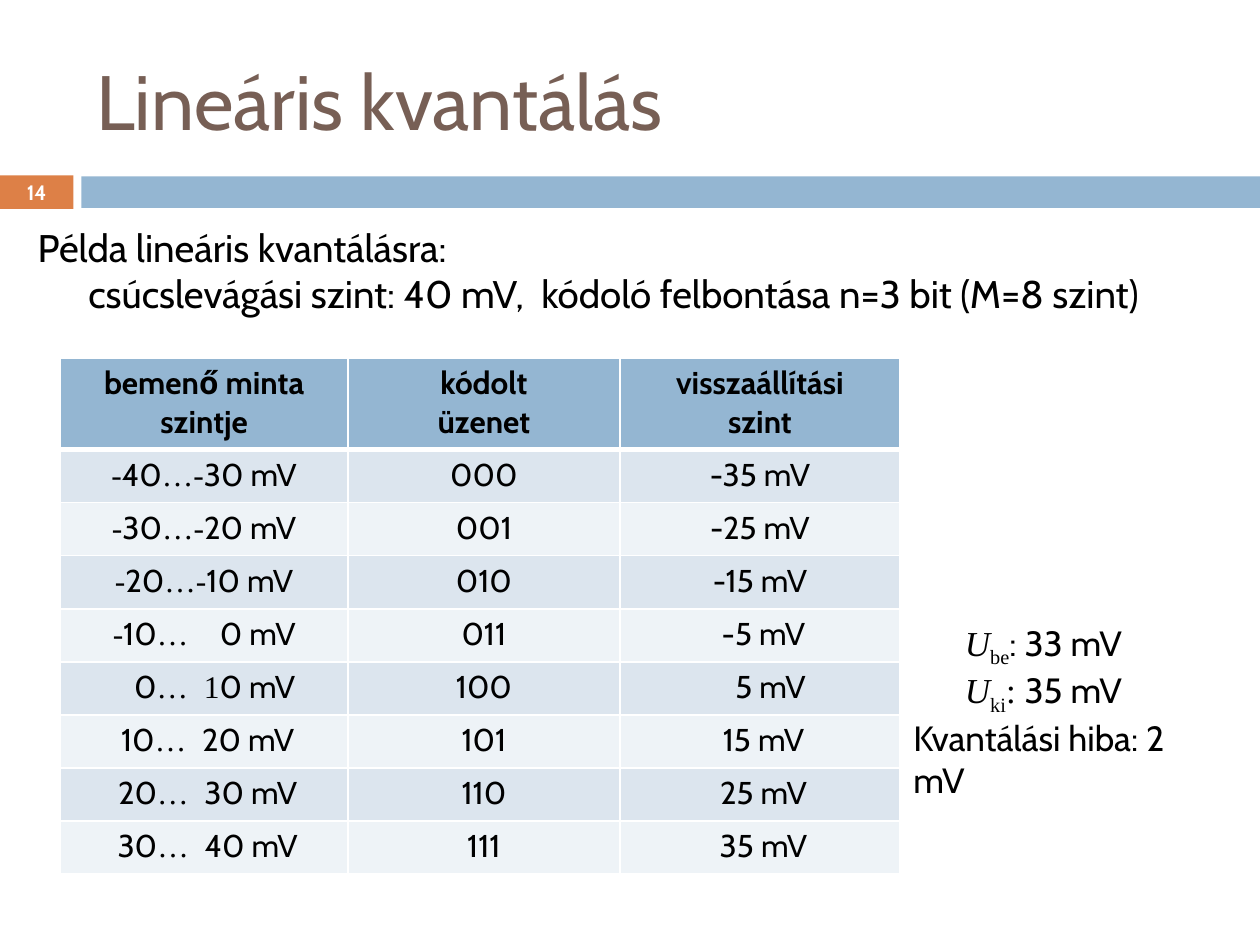
from lxml.etree import SubElement
from pptx import Presentation
from pptx.dml.color import RGBColor as Rgb
from pptx.enum.shapes import MSO_SHAPE as Shape
from pptx.enum.text import MSO_ANCHOR as Anchor, PP_ALIGN as Align
from pptx.oxml.ns import qn
from pptx.util import Pt

COLORS = {
    "title": "775F55", "accent": "DD8047", "bar": "94B6D2", "text": "000000",
    "white": "FFFFFF", "odd row": "DCE5EE", "even row": "EEF3F7",
}
SANS, SERIF = "Cabin", "Times New Roman"
SPACE = 4  # width of one space at the table's text size


def add_run(paragraph, text, size=18, font=SANS, color="text",
            bold=False, italic=False, baseline=None):
    run = paragraph.add_run()
    run.text = text
    run.font.size, run.font.name = Pt(size), font
    run.font.bold, run.font.italic = bold, italic
    run.font.color.rgb = Rgb.from_string(COLORS[color])
    if baseline:
        run.font._element.set("baseline", str(baseline * 1000))


def write(frame, paragraphs, align=Align.LEFT, indents=(), before=(), **style):
    """Each paragraph is a list of (text, changes to the style) pairs."""
    for index, runs in enumerate(paragraphs):
        paragraph = frame.paragraphs[0] if index == 0 else frame.add_paragraph()
        paragraph.alignment = align
        if index < len(indents):
            paragraph._p.get_or_add_pPr().set("marL", str(Pt(indents[index])))
        if index < len(before):
            paragraph.space_before = Pt(before[index])
        for text, changes in runs:
            add_run(paragraph, text, **{**style, **changes})


def plain(*lines):
    return [[(line, {})] for line in lines]


class SlideBuilder:
    def __init__(self, presentation):
        self.slide = presentation.slides.add_slide(presentation.slide_layouts[6])

    def rectangle(self, left, top, width, height, color):
        shape = self.slide.shapes.add_shape(
            Shape.RECTANGLE, Pt(left), Pt(top), Pt(width), Pt(height))
        shape.shadow.inherit = False
        shape.fill.solid()
        shape.fill.fore_color.rgb = Rgb.from_string(COLORS[color])
        shape.line.fill.background()
        return shape

    def text(self, left, top, width, height, paragraphs, wrap=True,
             anchor=Anchor.TOP, **style):
        box = self.slide.shapes.add_textbox(Pt(left), Pt(top), Pt(width), Pt(height))
        box.text_frame.word_wrap = wrap
        box.text_frame.vertical_anchor = anchor
        write(box.text_frame, paragraphs, **style)

    def table(self, left, top, widths, heights):
        table = self.slide.shapes.add_table(
            len(heights), len(widths), Pt(left), Pt(top),
            Pt(sum(widths)), Pt(sum(heights))).table
        for column, width in zip(table.columns, widths):
            column.width = Pt(width)
        for row, height in zip(table.rows, heights):
            row.height = Pt(height)
        return table

    def cell(self, cell, paragraphs, fill, top_line=1, bottom_line=1, **style):
        write(cell.text_frame, paragraphs, align=Align.CENTER, **style)
        properties = cell._tc.get_or_add_tcPr()
        lines = {"lnL": 1, "lnR": 1, "lnT": top_line, "lnB": bottom_line}
        for tag, width in lines.items():
            line = SubElement(properties, qn(f"a:{tag}"), w=str(Pt(width)))
            solid = SubElement(line, qn("a:solidFill"))
            SubElement(solid, qn("a:srgbClr"), val=COLORS["white"])
        cell.fill.solid()
        cell.fill.fore_color.rgb = Rgb.from_string(COLORS[fill])


def interval_runs(low):
    """Signs and dots are serif, numbers are sans."""
    high = low + 10
    serif = {"font": SERIF}
    sign = [("-", serif)] if low < 0 else []
    if high < 0:
        gap, end = "…-", f"{-high} mV"
    elif high == 0:
        gap, end = "…    ", "0 mV"
    elif low == 0:
        gap, end = "…  1", "0 mV"
    else:
        gap, end = "…  ", f"{high} mV"
    return sign + [(str(abs(low)), {}), (gap, serif), (end, {})]


def add_quantization_table(builder):
    lows = range(-40, 40, 10)
    table = builder.table(34.5, 204.5, [164.3, 155.5, 160], [52.4] + [30.35] * len(lows))
    headers = [("bemenő minta", "szintje"), ("kódolt", "üzenet"),
               ("visszaállítási", "szint")]
    for column, lines in enumerate(headers):
        builder.cell(table.cell(0, column), plain(*lines), "bar",
                     bottom_line=3, bold=True)

    for index, low in enumerate(lows):
        restored = low + 5
        interval_spaces = 0 if low < 0 else 3 if low == 0 else 1
        restored_spaces = 0 if restored < -5 else 3 if restored == 5 else 1
        contents = [
            ([interval_runs(low)], interval_spaces),
            (plain(f"{index:03b}"), 0),
            (plain(f"{restored} mV"), restored_spaces),
        ]
        fill = "even row" if index % 2 else "odd row"
        for column, (paragraphs, spaces) in enumerate(contents):
            builder.cell(table.cell(index + 1, column), paragraphs, fill,
                         top_line=1 if index else 3, indents=[spaces * SPACE])


def voltage_runs(subscript, *rest):
    return [("U", {"font": SERIF, "italic": True}),
            (subscript, {"font": SERIF, "baseline": -25}), *rest]


def main():
    presentation = Presentation()
    presentation.slide_width, presentation.slide_height = Pt(720), Pt(540)
    builder = SlideBuilder(presentation)

    builder.rectangle(46.5, 100.8, 673.5, 18, "bar")
    number = builder.rectangle(0, 100.2, 42, 19.2, "accent").text_frame
    number.margin_top = number.margin_bottom = 0
    number.vertical_anchor = Anchor.MIDDLE
    write(number, plain("14"), align=Align.CENTER, size=11.9, color="white", bold=True)

    builder.text(48, 18, 642, 78, plain("Lineáris kvantálás"),
                 anchor=Anchor.MIDDLE, size=44, color="title")
    builder.text(14.4, 124.5, 676, 66, plain(
        "Példa lineáris kvantálásra:",
        "csúcslevágási szint: 40 mV,  kódoló felbontása n=3 bit (M=8 szint)"),
        size=22, indents=[0, 29], before=[6, 0])

    add_quantization_table(builder)

    builder.text(544.3, 351.4, 105, 80, [
        voltage_runs("be", (": 33 mV", {})),
        voltage_runs("ki", (": ", {"font": SERIF}), ("35 mV", {})),
    ], wrap=False, size=20)
    builder.text(514.8, 406, 187, 32, plain("Kvantálási hiba: 2 mV"), size=20)

    presentation.save("out.pptx")


if __name__ == "__main__":
    main()
